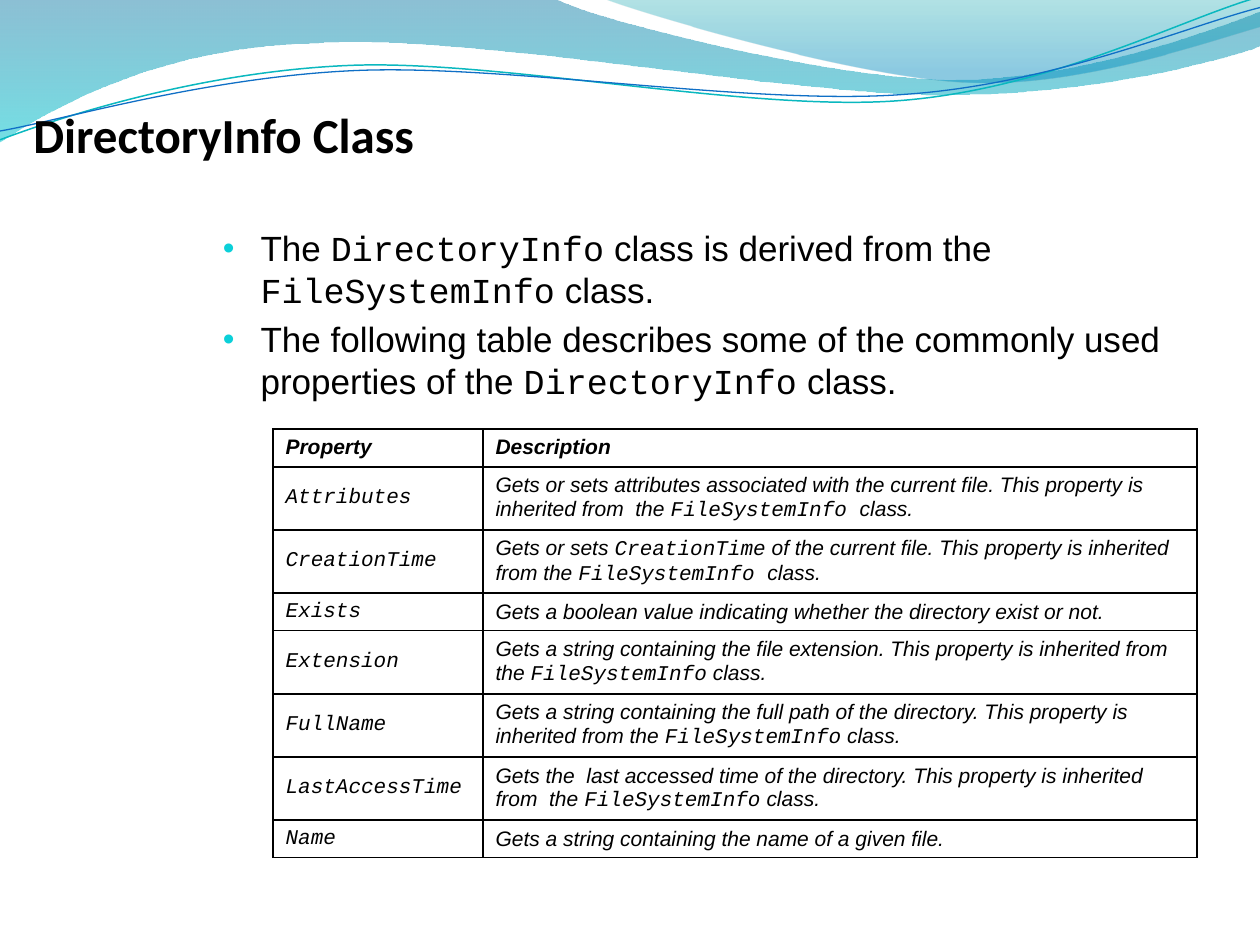
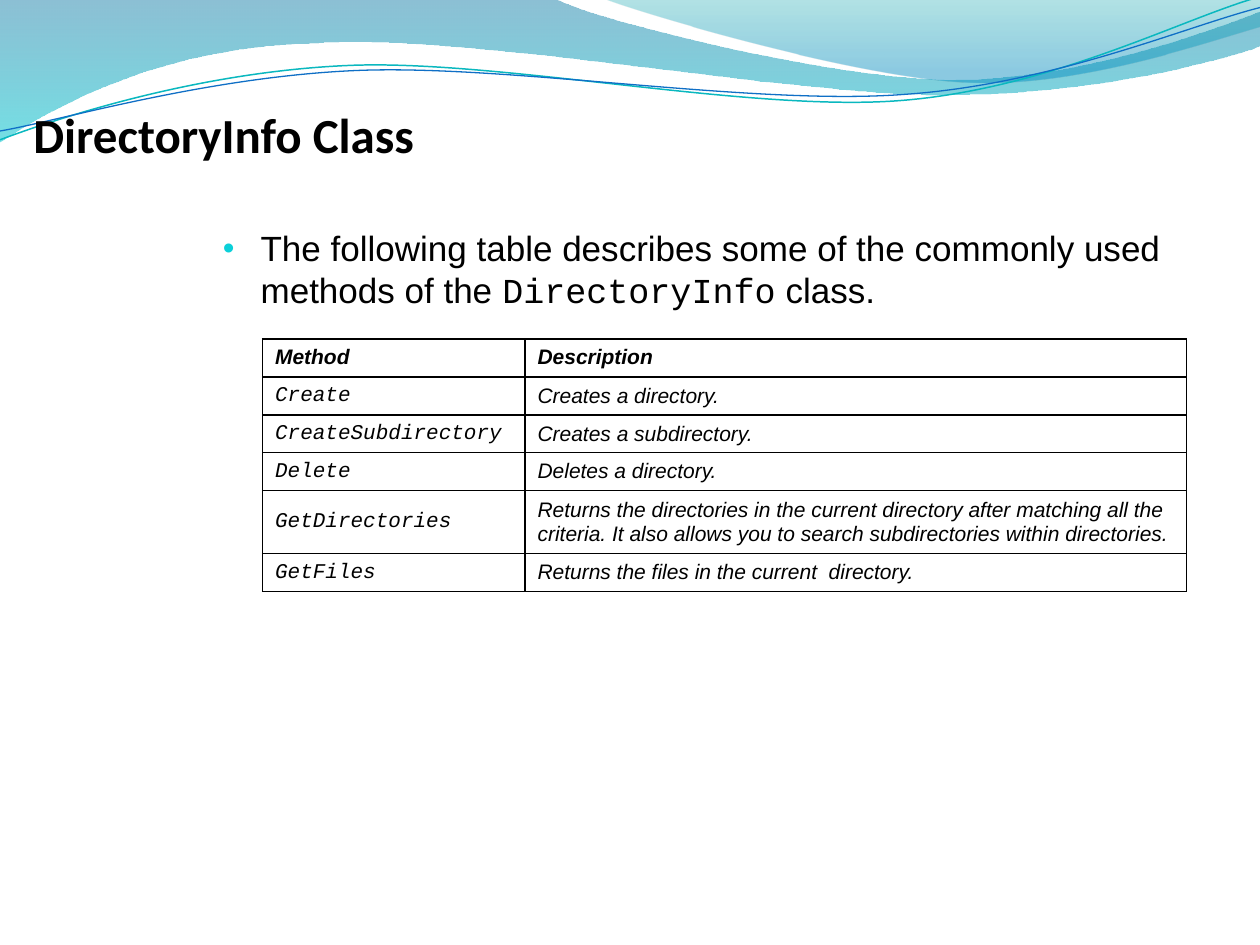
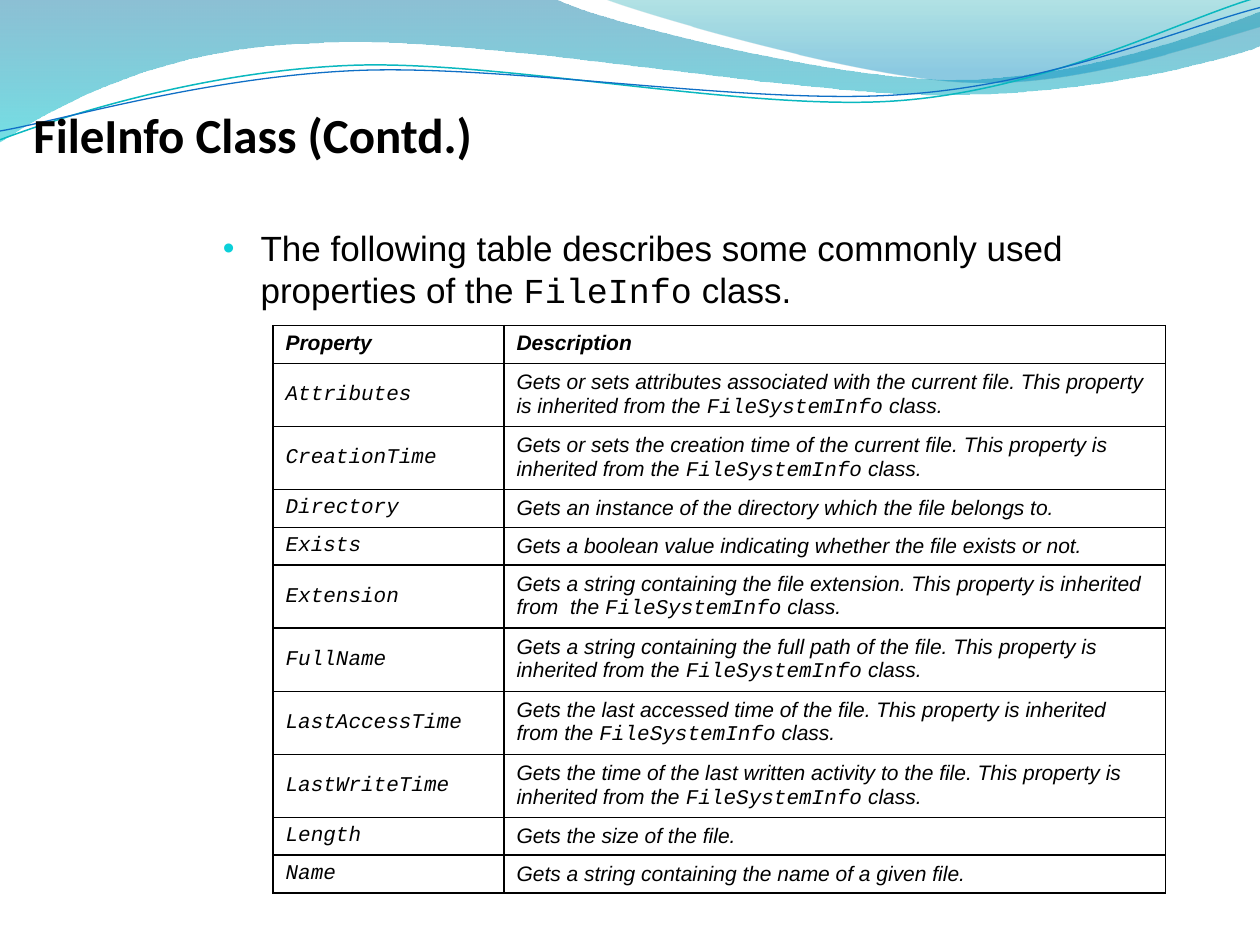
"""Build three slides describing the DirectoryInfo and FileInfo classes."""
import dataclasses

import pptx
import pptx.dml.color
import pptx.enum.shapes
import pptx.enum.text
import pptx.oxml.ns
import pptx.util
from lxml import etree

COLUMNS, ROWS = 120, 90
UNIT = pptx.util.Inches(10) // COLUMNS


@dataclasses.dataclass(frozen=True)
class Theme:
    title_font: str = "Calibri"
    text_font: str = "Arial"
    code_font: str = "Courier New"
    title_size: int = 28
    body_size: int = 20
    table_size: int = 12
    paragraph_gap: int = 4
    border_width: int = 1
    text: str = "000000"
    paper: str = "FFFFFF"
    bullet: str = "0BD0D9"


THEME = Theme()

INHERITED = "This property is inherited from the `FileSystemInfo` class."

SLIDES = [
    {
        "title": "DirectoryInfo Class",
        "bullets": [
            "The `DirectoryInfo` class is derived from the `FileSystemInfo` class.",
            "The following table describes some of the commonly used properties of the `DirectoryInfo` class.",
        ],
        "place": (26, 40.85), "widths": (20, 68),
        "heights": {"header": 3.6, "single": 3.6, "double": 6},
        "table": [
            ("Property", "Description"),
            ("Attributes", "Gets or sets attributes associated with the current file. "
             "This property is inherited from  the `FileSystemInfo `class."),
            ("CreationTime", "Gets or sets `CreationTime` of the current file. "
             "This property is inherited from the `FileSystemInfo `class."),
            ("Exists", "Gets a boolean value indicating whether the directory exist or not."),
            ("Extension", f"Gets a string containing the file extension. {INHERITED}"),
            ("FullName", f"Gets a string containing the full path of the directory. {INHERITED}"),
            ("LastAccessTime", "Gets the  last accessed time of the directory. "
             "This property is inherited from  the `FileSystemInfo` class."),
            ("Name", "Gets a string containing the name of a given file."),
        ],
    },
    {
        "title": "DirectoryInfo Class",
        "bullets": [
            "The following table describes some of the commonly used methods of the `DirectoryInfo` class.",
        ],
        "place": (25, 32.3), "widths": (25, 63),
        "heights": {"header": 3.3, "single": 2.4, "double": 2.4},
        "table": [
            ("Method", "Description"),
            ("Create", "Creates a directory."),
            ("CreateSubdirectory", "Creates a subdirectory."),
            ("Delete", "Deletes a directory."),
            ("GetDirectories", "Returns the directories in the current directory after matching all the "
             "criteria. It also allows you to search subdirectories within directories."),
            ("GetFiles", "Returns the files in the current  directory."),
        ],
    },
    {
        "title": "FileInfo Class (Contd.)",
        "bullets": [
            "The following table describes some commonly used properties of the `FileInfo` class.",
        ],
        "place": (26, 31), "widths": (22, 63),
        "heights": {"header": 3, "single": 2.75, "double": 4.5},
        "table": [
            ("Property", "Description"),
            ("Attributes", f"Gets or sets attributes associated with the current file. {INHERITED}"),
            ("CreationTime", f"Gets or sets the creation time of the current file. {INHERITED}"),
            ("Directory", "Gets an instance of the directory which the file belongs to."),
            ("Exists", "Gets a boolean value indicating whether the file exists or not."),
            ("Extension", "Gets a string containing the file extension. "
             "This property is inherited from  the `FileSystemInfo` class."),
            ("FullName", f"Gets a string containing the full path of the file. {INHERITED}"),
            ("LastAccessTime", f"Gets the last accessed time of the file. {INHERITED}"),
            ("LastWriteTime", f"Gets the time of the last written activity to the file. {INHERITED}"),
            ("Length", "Gets the size of the file."),
            ("Name", "Gets a string containing the name of a given file."),
        ],
    },
]

WAVES = [
    {"start": (0, 0), "stops": [(0, "0074A1", 45), (1, "00C6CF", 55)], "segments": [
        (4.4, -0.01), (4.76, 0.17, 6.64, 0.63, 7.58, 0.63), (8.53, 0.63, 9.58, 0.26, 10, 0.09),
        (10.01, 0.36), (9.83, 0.44, 8.7, 0.76, 7.46, 0.75), (6.22, 0.75, 3.82, 0.28, 2.57, 0.34),
        (1.29, 0.36, 0.46, 0.83, -0.01, 1.13), (0, 0)]},
    {"start": (4.79, -0.01), "stops": [(0, "00A1A9", 30), (0.8, "008BBF", 45)], "segments": [
        (5.09, 0.11, 6.82, 0.62, 7.69, 0.65), (8.56, 0.69, 9.61, 0.32, 10, 0.21), (10, 0),
        (4.79, -0.01)]},
    {"start": (0, 1.11), "line": ("0AB8BF", 0.85), "segments": [
        (0.48, 0.93, 1.58, 0.57, 2.77, 0.52), (3.95, 0.47, 5.93, 0.89, 7.13, 0.8),
        (8.33, 0.71, 9.38, 0.15, 9.98, -0.02)]},
    {"start": (0, 1.04), "line": ("0F6FC6", 0.75), "segments": [
        (0.47, 0.96, 1.64, 0.61, 2.83, 0.56), (4.03, 0.51, 5.97, 0.84, 7.17, 0.75),
        (8.36, 0.67, 9.41, 0.21, 10, 0.06)]},
]


def grid(*lengths):
    return [round(length * UNIT) for length in lengths]


def rgb(value):
    return pptx.dml.color.RGBColor.from_string(value)


def add_xml(parent, tag, **attributes):
    return etree.SubElement(parent, pptx.oxml.ns.qn(tag), attributes)


def add_run(paragraph, text, font, size, bold=False, italic=False):
    run = paragraph.add_run()
    run.text = text
    run.font.name = font
    run.font.size = pptx.util.Pt(size)
    run.font.bold = bold
    run.font.italic = italic
    run.font.color.rgb = rgb(THEME.text)


def add_marked_text(paragraph, text, size, **style):
    for index, part in enumerate(text.split("`")):
        if part:
            font = THEME.code_font if index % 2 else THEME.text_font
            add_run(paragraph, part, font, size, **style)


def bend(shape, segments):
    """Turn each run of three straight steps that holds a curve into one Bezier."""
    steps = iter(list(shape.element.iter(pptx.oxml.ns.qn("a:lnTo"))))
    for segment in segments:
        first = next(steps)
        if len(segment) == 2:
            continue
        curve = etree.Element(pptx.oxml.ns.qn("a:cubicBezTo"))
        first.addprevious(curve)
        for step in (first, next(steps), next(steps)):
            curve.append(step[0])
            step.getparent().remove(step)


def add_wave(slide, wave):
    numbers = [*wave["start"], *(number for segment in wave["segments"] for number in segment)]
    lengths = [pptx.util.Inches(number) for number in numbers]
    points = list(zip(lengths[::2], lengths[1::2]))
    builder = slide.shapes.build_freeform(*points[0])
    builder.add_line_segments(points[1:], close="stops" in wave)
    shape = builder.convert_to_shape()
    bend(shape, wave["segments"])
    shape.shadow.inherit = False
    if "line" in wave:
        color, width = wave["line"]
        shape.fill.background()
        shape.line.color.rgb = rgb(color)
        shape.line.width = pptx.util.Pt(width)
        return shape
    shape.line.fill.background()
    shape.fill.gradient()
    shape.fill.gradient_angle = 270
    for stop, (position, color, _) in zip(shape.fill.gradient_stops, wave["stops"]):
        stop.position = position
        stop.color.rgb = rgb(color)
    colors = shape.element.spPr.iter(pptx.oxml.ns.qn("a:srgbClr"))
    for color, (_, _, opacity) in zip(colors, wave["stops"]):
        add_xml(color, "a:alpha", val=str(opacity * 1000))
    return shape


def add_title(slide, text):
    box = slide.shapes.add_textbox(*grid(2, 9.4, 97, 6.8))
    box.text_frame.word_wrap = True
    box.text_frame.auto_size = pptx.enum.text.MSO_AUTO_SIZE.SHAPE_TO_FIT_TEXT
    add_run(box.text_frame.paragraphs[0], text, THEME.title_font, THEME.title_size, bold=True)


def add_bullets(slide, bullets):
    body = slide.shapes.add_shape(pptx.enum.shapes.MSO_SHAPE.RECTANGLE, *grid(20.04, 21, 96, 60))
    body.shadow.inherit = False
    body.fill.solid()
    body.fill.fore_color.rgb = rgb(THEME.paper)
    body.line.fill.background()
    frame = body.text_frame
    frame.word_wrap = True
    frame.vertical_anchor = pptx.enum.text.MSO_ANCHOR.TOP
    for index, text in enumerate(bullets):
        paragraph = frame.add_paragraph() if index else frame.paragraphs[0]
        paragraph.alignment = pptx.enum.text.PP_ALIGN.LEFT
        paragraph.space_before = pptx.util.Pt(THEME.paragraph_gap if index else 0)
        properties = paragraph._p.get_or_add_pPr()
        indent = pptx.util.Inches(0.3)
        properties.set("marL", str(indent))
        properties.set("indent", str(-indent))
        add_xml(add_xml(properties, "a:buClr"), "a:srgbClr", val=THEME.bullet)
        add_xml(properties, "a:buSzPct", val="95000")
        add_xml(properties, "a:buFont", typeface=THEME.text_font)
        add_xml(properties, "a:buChar", char="•")
        add_marked_text(paragraph, text, THEME.body_size)


def add_borders(cell):
    properties = cell._tc.get_or_add_tcPr()
    for index, side in enumerate("LRTB"):
        border = add_xml(properties, f"a:ln{side}", w=str(pptx.util.Pt(THEME.border_width)))
        add_xml(add_xml(border, "a:solidFill"), "a:srgbClr", val=THEME.text)
        properties.insert(index, border)


def row_kind(index, description):
    if index == 0:
        return "header"
    return "double" if len(description) > 70 else "single"


def add_member_table(slide, content):
    rows, widths = content["table"], content["widths"]
    kinds = [row_kind(index, description) for index, (_, description) in enumerate(rows)]
    heights = [content["heights"][kind] for kind in kinds]
    table = slide.shapes.add_table(
        len(rows), len(widths), *grid(*content["place"], sum(widths), sum(heights))).table
    table.first_row = table.horz_banding = False
    for column, width in zip(table.columns, grid(*widths)):
        column.width = width
    for row, height, kind, (name, description) in zip(table.rows, grid(*heights), kinds, rows):
        header = kind == "header"
        row.height = height
        for cell, text in zip(row.cells, (name if header else f"`{name}`", description)):
            cell.fill.background()
            add_borders(cell)
            cell.vertical_anchor = (pptx.enum.text.MSO_ANCHOR.TOP if header
                                    else pptx.enum.text.MSO_ANCHOR.MIDDLE)
            add_marked_text(cell.text_frame.paragraphs[0], text, THEME.table_size,
                            bold=header, italic=True)


def main():
    presentation = pptx.Presentation()
    presentation.slide_width, presentation.slide_height = grid(COLUMNS, ROWS)
    layout = presentation.slide_layouts[6]
    slides = [presentation.slides.add_slide(layout) for _ in SLIDES]
    for wave in WAVES:
        layout.shapes.element.append(add_wave(slides[0], wave).element)
    for slide, content in zip(slides, SLIDES):
        add_title(slide, content["title"])
        add_bullets(slide, content["bullets"])
        add_member_table(slide, content)
    presentation.save("out.pptx")


if __name__ == "__main__":
    main()
